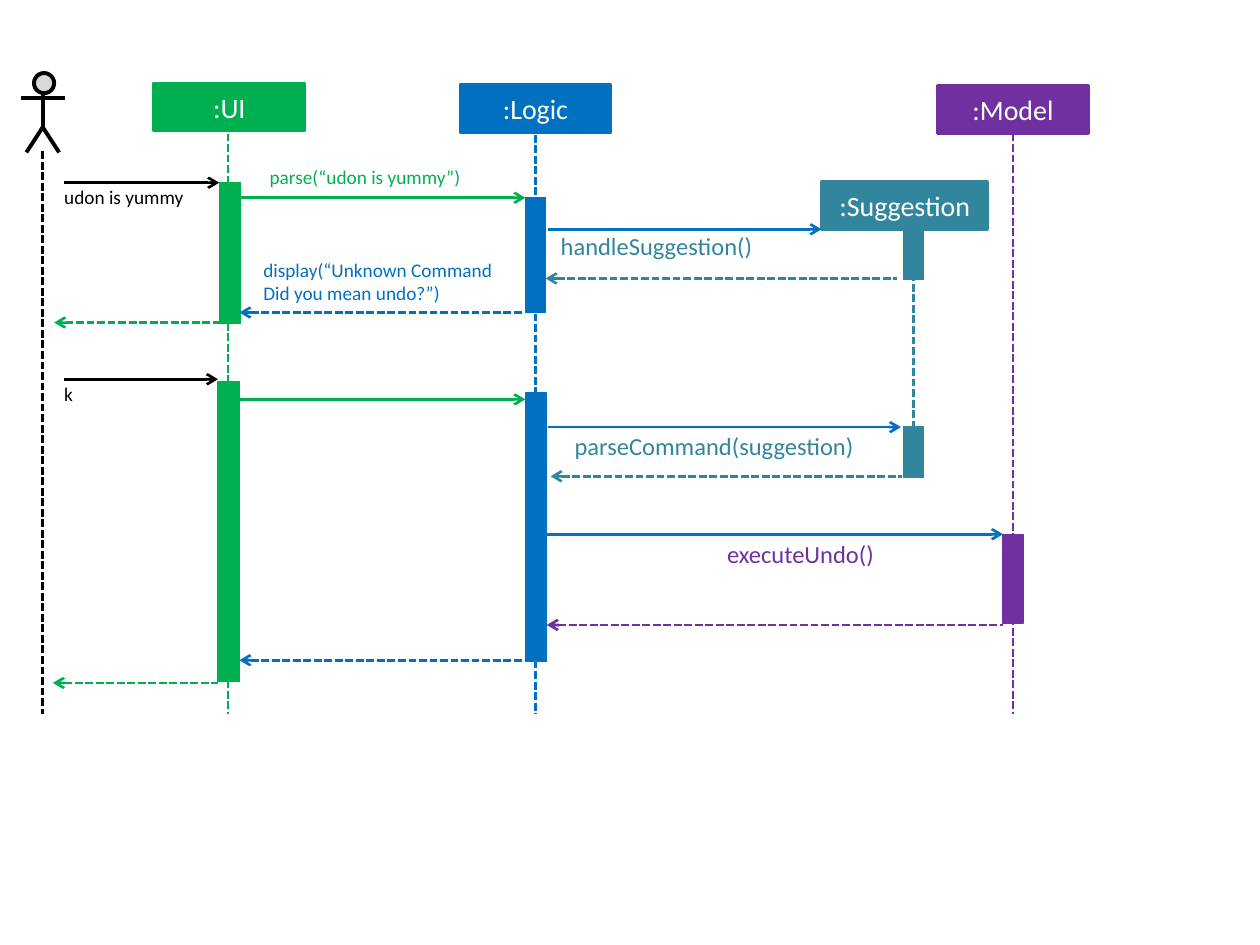
from dataclasses import dataclass

import pptx
import pptx.dml.color
import pptx.enum.dml
import pptx.enum.shapes
import pptx.enum.text
import pptx.oxml
import pptx.oxml.ns
import pptx.util
from lxml import etree
from pptx.util import Inches

RECTANGLE = pptx.enum.shapes.MSO_SHAPE.RECTANGLE
CIRCLE = pptx.enum.shapes.MSO_SHAPE.FLOWCHART_CONNECTOR


@dataclass(frozen=True)
class Theme:
    font: str = "Calibri"
    user: str = "000000"
    ui: str = "00B050"
    logic: str = "0070C0"
    suggestion: str = "31859C"
    model: str = "7030A0"
    face: str = "D9D9D9"
    white: str = "FFFFFF"
    heading_size: float = 16
    call_size: float = 14
    note_size: float = 11
    bar_line: float = 0.75
    line: float = 1.5
    figure_line: float = 2.25


THEME = Theme()


@dataclass(frozen=True)
class Participant:
    name: str
    colour: str
    left: float
    top: float
    width: float
    axis: float
    life_top: float
    life_bottom: float
    activations: tuple  # (left, top, width, height) of each bar


@dataclass(frozen=True)
class Message:
    left: float
    right: float
    y: float
    colour: str
    is_reply: bool = False  # replies are dashed and point left


@dataclass(frozen=True)
class Label:
    text: str
    left: float
    top: float
    width: float
    height: float
    colour: str
    size: float


PARTICIPANTS = [
    Participant(":UI", THEME.ui, 1.22, 0.66, 1.2, 1.81, 1.06, 5.67,
                ((1.74, 1.45, 0.17, 1.12), (1.73, 3.03, 0.17, 2.38))),
    Participant(":Logic", THEME.logic, 3.65, 0.67, 1.2, 4.25, 1.07, 5.67,
                ((4.17, 1.57, 0.16, 0.91), (4.17, 3.12, 0.17, 2.13))),
    Participant(":Suggestion", THEME.suggestion, 6.52, 1.44, 1.32, 7.25, 1.92, 3.78,
                ((7.17, 1.82, 0.16, 0.4), (7.17, 3.39, 0.16, 0.4))),
    Participant(":Model", THEME.model, 7.44, 0.68, 1.2, 8.04, 1.06, 5.67,
                ((7.96, 4.24, 0.16, 0.71),)),
]

MESSAGES = [
    # First exchange: the unknown command
    Message(0.51, 1.74, 1.45, THEME.user),
    Message(1.9, 4.17, 1.57, THEME.ui),
    Message(4.35, 6.52, 1.82, THEME.logic),
    Message(4.33, 7.12, 2.21, THEME.suggestion, True),
    Message(1.9, 4.15, 2.48, THEME.logic, True),
    Message(0.43, 1.74, 2.56, THEME.ui, True),
    # Second exchange: the accepted suggestion
    Message(0.51, 1.73, 3.01, THEME.user),
    Message(1.9, 4.17, 3.17, THEME.ui),
    Message(4.35, 7.15, 3.39, THEME.logic),
    Message(4.37, 7.16, 3.78, THEME.suggestion, True),
    Message(4.34, 7.96, 4.24, THEME.logic),
    Message(4.34, 7.96, 4.96, THEME.model, True),
    Message(1.9, 4.15, 5.24, THEME.logic, True),
    Message(0.42, 1.73, 5.42, THEME.ui, True),
]

LABELS = [
    Label("udon is yummy", 0.51, 1.47, 1.06, 0.19, THEME.user, THEME.note_size),
    Label("parse(“udon is yummy”)", 2.14, 1.31, 2.33, 0.19, THEME.ui, THEME.note_size),
    Label("display(“Unknown Command\vDid you mean undo?”)", 2.09, 2.05, 2.33, 0.37,
          THEME.logic, THEME.note_size),
    Label("handleSuggestion()", 4.45, 1.83, 1.8, 0.24, THEME.suggestion, THEME.call_size),
    Label("k", 0.51, 3.03, 1.06, 0.19, THEME.user, THEME.note_size),
    Label("parseCommand(suggestion)", 4.56, 3.42, 2.35, 0.24, THEME.suggestion, THEME.call_size),
    Label("executeUndo()", 5.77, 4.28, 1.59, 0.24, THEME.model, THEME.call_size),
]


def rgb(colour: str) -> pptx.dml.color.RGBColor:
    return pptx.dml.color.RGBColor.from_string(colour)


def style_line(line, colour: str, width: float) -> None:
    line.color.rgb = rgb(colour)
    line.width = pptx.util.Pt(width)


def style_text(paragraph, colour: str, size: float) -> None:
    paragraph.font.name = THEME.font
    paragraph.font.size = pptx.util.Pt(size)
    paragraph.font.color.rgb = rgb(colour)


def draw_shape(shapes, kind, box: tuple, fill: str, outline: str, width: float):
    shape = shapes.add_shape(kind, *map(Inches, box))
    shape.shadow.inherit = False
    shape.fill.solid()
    shape.fill.fore_color.rgb = rgb(fill)
    style_line(shape.line, outline, width)
    return shape


def draw_line(shapes, start: tuple, end: tuple, colour: str, width: float = THEME.line,
              dashed: bool = False, arrow: str = "") -> None:
    """Draw a line; arrow is "headEnd" (at start), "tailEnd" (at end) or empty."""
    connector = shapes.add_connector(
        pptx.enum.shapes.MSO_CONNECTOR.STRAIGHT, *map(Inches, start + end))
    style_line(connector.line, colour, width)
    if dashed:
        connector.line.dash_style = pptx.enum.dml.MSO_LINE.SQUARE_DOT
    properties = connector._element.spPr
    qn = pptx.oxml.ns.qn
    if arrow:
        etree.SubElement(properties.find(qn("a:ln")), qn(f"a:{arrow}"), type="arrow")
    etree.SubElement(properties, qn("a:effectLst"))


def draw_participant(shapes, participant: Participant) -> None:
    colour = participant.colour
    heading = draw_shape(
        shapes, RECTANGLE, (participant.left, participant.top, participant.width, 0.38),
        colour, colour, THEME.line)
    frame = heading.text_frame
    frame.text = participant.name
    frame.vertical_anchor = pptx.enum.text.MSO_ANCHOR.MIDDLE
    paragraph = frame.paragraphs[0]
    paragraph.alignment = pptx.enum.text.PP_ALIGN.CENTER
    style_text(paragraph, THEME.white, THEME.heading_size)
    draw_line(shapes, (participant.axis, participant.life_top),
              (participant.axis, participant.life_bottom), colour, dashed=True)
    for box in participant.activations:
        draw_shape(shapes, RECTANGLE, box, colour, colour, THEME.bar_line)


def draw_user(shapes) -> None:
    figure = shapes.add_group_shape().shapes
    width = THEME.figure_line
    draw_shape(figure, CIRCLE, (0.27, 0.58, 0.16, 0.16), THEME.face, THEME.user, width)
    draw_line(figure, (0.34, 0.74), (0.34, 1.02), THEME.user, width)
    builder = figure.build_freeform(Inches(0.21), Inches(1.21))
    builder.add_line_segments(
        [(Inches(0.34), Inches(1.01)), (Inches(0.47), Inches(1.21))], close=False)
    legs = builder.convert_to_shape()
    legs.shadow.inherit = False
    legs.fill.background()
    style_line(legs.line, THEME.user, width)
    draw_line(figure, (0.17, 0.78), (0.52, 0.78), THEME.user, width)
    # Lifeline below the figure
    draw_line(shapes, (0.34, 1.2), (0.34, 5.67), THEME.user, dashed=True)


def draw_message(shapes, message: Message) -> None:
    draw_line(shapes, (message.left, message.y), (message.right, message.y), message.colour,
              dashed=message.is_reply, arrow="headEnd" if message.is_reply else "tailEnd")


def draw_label(shapes, label: Label) -> None:
    box = shapes.add_textbox(*map(Inches, (label.left, label.top, label.width, label.height)))
    frame = box.text_frame
    frame.word_wrap = True
    frame.auto_size = pptx.enum.text.MSO_AUTO_SIZE.SHAPE_TO_FIT_TEXT
    frame.margin_left = frame.margin_right = frame.margin_top = frame.margin_bottom = 0
    frame.paragraphs[0].text = label.text
    style_text(frame.paragraphs[0], label.colour, label.size)


def main() -> None:
    presentation = pptx.Presentation()
    presentation.slide_width = Inches(10)
    presentation.slide_height = Inches(7.5)
    slide = presentation.slides.add_slide(presentation.slide_layouts[6])
    draw_user(slide.shapes)
    for participant in PARTICIPANTS:
        draw_participant(slide.shapes, participant)
    for message in MESSAGES:
        draw_message(slide.shapes, message)
    for label in LABELS:
        draw_label(slide.shapes, label)
    presentation.save("out.pptx")


if __name__ == "__main__":
    main()
